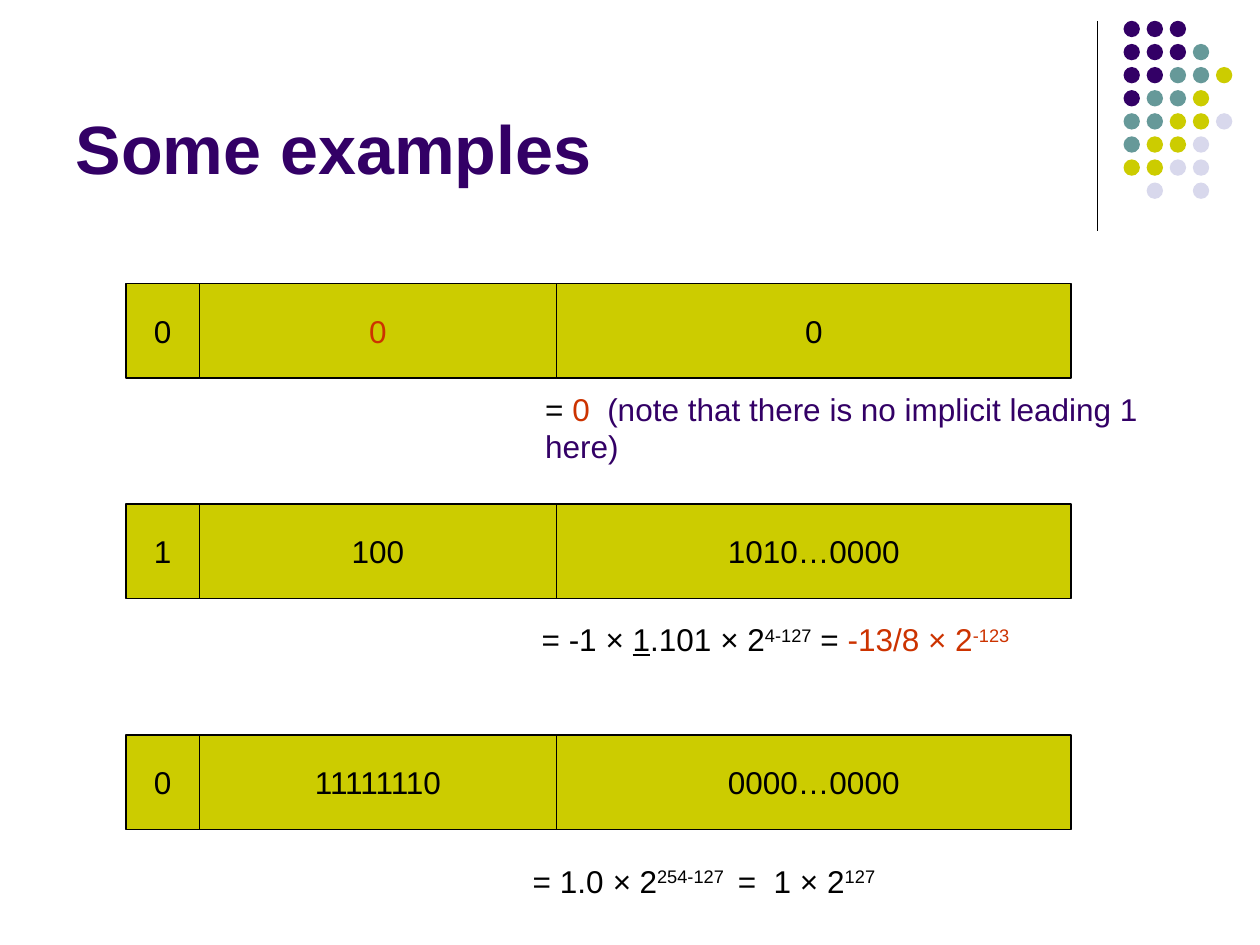
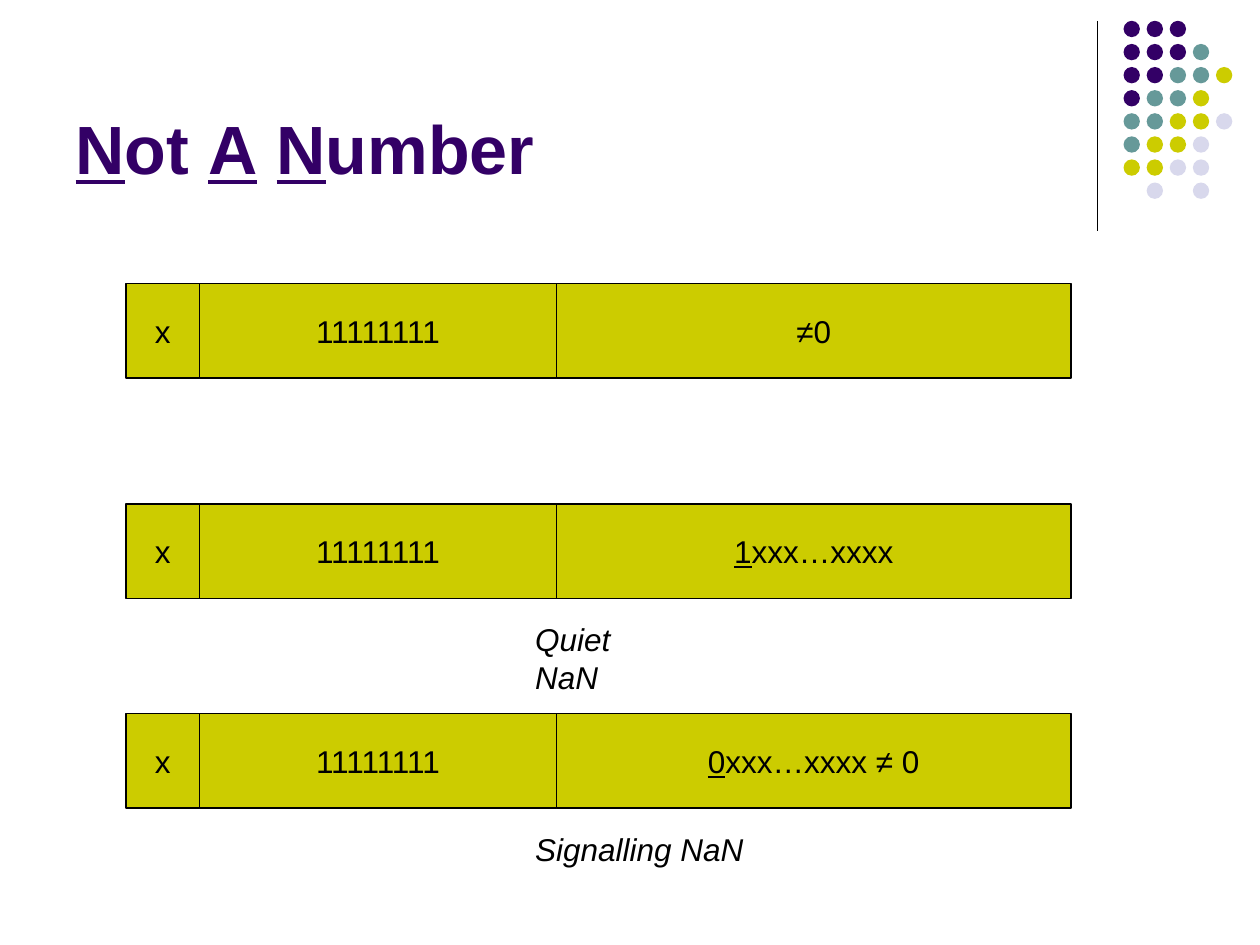
from dataclasses import dataclass

from lxml.etree import SubElement
from pptx import Presentation
from pptx.dml.color import RGBColor
from pptx.enum.shapes import MSO_CONNECTOR, MSO_SHAPE
from pptx.enum.text import MSO_ANCHOR, MSO_AUTO_SIZE, PP_ALIGN
from pptx.oxml.ns import qn
from pptx.presentation import Presentation as PresentationType
from pptx.slide import Slide
from pptx.text.text import TextFrame
from pptx.util import Cm, Pt

FONT = "Arial"
PURPLE = "330066"
TEAL = "669999"
OLIVE = "CCCC00"
LAVENDER = "D8D8EC"
RED = "CC3300"
BLACK = "000000"

DOT_COLORS = {"P": PURPLE, "T": TEAL, "O": OLIVE, "L": LAVENDER}
DOT_ROWS = ("PPP", "PPPT", "PPTTO", "PTTO", "TTOOL", "TOOL", "OOLL", ".L.L")
DOT_LEFT = Cm(22.65)
DOT_TOP = Cm(0.42)
DOT_SIZE = Cm(0.33)
DOT_STEP = Cm(3.26) // 7

FIELDS_LEFT = Cm(2.54)
FIELD_WIDTHS = (Cm(1.48), Cm(7.2), Cm(10.37))
FIELD_HEIGHT = Cm(1.9)
CAPTION_HEIGHT = Cm(1.02)


@dataclass(frozen=True)
class Span:
    text: str
    color: str | None = None
    underline: bool = False
    italic: bool = False
    superscript: bool = False


Spans = tuple[Span, ...]


@dataclass(frozen=True)
class FloatWord:
    top: float
    sign: Spans
    exponent: Spans
    fraction: Spans


@dataclass(frozen=True)
class Caption:
    left: float
    top: float
    width: float
    spans: Spans


@dataclass(frozen=True)
class SlideContent:
    title: Spans
    words: tuple[FloatWord, ...]
    captions: tuple[Caption, ...]


def plain(text: str) -> Spans:
    return (Span(text),)


ONES = plain("11111111")

SLIDES = (
    SlideContent(
        title=plain("Some examples"),
        words=(
            FloatWord(5.72, plain("0"), (Span("0", RED),), plain("0")),
            FloatWord(10.16, plain("1"), plain("100"), plain("1010…0000")),
            FloatWord(14.82, plain("0"), plain("11111110"), plain("0000…0000")),
        ),
        captions=(
            Caption(10.74, 7.73, 14.1, (
                Span("= "),
                Span("0  ", RED),
                Span("(note that there is no implicit leading 1 here)", PURPLE),
            )),
            Caption(10.67, 12.38, 10.1, (
                Span("= -1 × "),
                Span("1", underline=True),
                Span(".101 × 2"),
                Span("4-127", superscript=True),
                Span(" = "),
                Span("-13/8 × 2", RED),
                Span("-123", RED, superscript=True),
            )),
            Caption(10.49, 17.25, 7.42, (
                Span("= 1.0 "),
                Span("× ", italic=True),
                Span("2"),
                Span("254-127 ", superscript=True),
                Span(" =  1 × 2"),
                Span("127", superscript=True),
            )),
        ),
    ),
    SlideContent(
        title=(
            Span("N", underline=True),
            Span("ot "),
            Span("A", underline=True),
            Span(" "),
            Span("N", underline=True),
            Span("umber"),
        ),
        words=(
            FloatWord(5.72, plain("x"), ONES, plain("≠0")),
            FloatWord(10.16, plain("x"), ONES,
                      (Span("1", underline=True), Span("xxx…xxxx"))),
            FloatWord(14.39, plain("x"), ONES,
                      (Span("0", underline=True), Span("xxx…xxxx ≠ 0"))),
        ),
        captions=(
            Caption(10.54, 12.38, 3.45, (Span("Quiet NaN", italic=True),)),
            Caption(10.54, 16.61, 4.7, (Span("Signalling NaN", italic=True),)),
        ),
    ),
)


def rgb(color: str) -> RGBColor:
    return RGBColor.from_string(color)


def write(frame: TextFrame, spans: Spans, size: int = 18, color: str = BLACK,
          align: PP_ALIGN = PP_ALIGN.LEFT, bold: bool = False) -> None:
    paragraph = frame.paragraphs[0]
    paragraph.alignment = align
    paragraph.font.name = FONT
    paragraph.font.size = Pt(size)
    paragraph.font.bold = bold
    paragraph.font.color.rgb = rgb(color)
    for span in spans:
        run = paragraph.add_run()
        run.text = span.text
        if span.color:
            run.font.color.rgb = rgb(span.color)
        if span.underline:
            run.font.underline = True
        if span.italic:
            run.font.italic = True
        if span.superscript:
            run._r.get_or_add_rPr().set("baseline", "30000")


def add_corner_decoration(slide: Slide) -> None:
    rule = slide.shapes.add_connector(
        MSO_CONNECTOR.STRAIGHT, Cm(22.12), Cm(0.42), Cm(22.12), Cm(4.66))
    rule.line.color.rgb = rgb(BLACK)
    rule.line.width = Pt(0.75)
    SubElement(rule._element.spPr, qn("a:effectLst"))
    for row, codes in enumerate(DOT_ROWS):
        for column, code in enumerate(codes):
            if code not in DOT_COLORS:
                continue
            dot = slide.shapes.add_shape(
                MSO_SHAPE.OVAL, DOT_LEFT + column * DOT_STEP,
                DOT_TOP + row * DOT_STEP, DOT_SIZE, DOT_SIZE)
            dot.shadow.inherit = False
            dot.fill.solid()
            dot.fill.fore_color.rgb = rgb(DOT_COLORS[code])
            dot.line.fill.background()


def add_title(slide: Slide, spans: Spans) -> None:
    title = slide.shapes.title
    title.left, title.top = Cm(1.27), Cm(0.33)
    title.width, title.height = Cm(20.96), Cm(3.6)
    frame = title.text_frame
    frame.auto_size = MSO_AUTO_SIZE.NONE
    frame.vertical_anchor = MSO_ANCHOR.BOTTOM
    write(frame, spans, size=39, color=PURPLE, bold=True)


def add_float_word(slide: Slide, word: FloatWord) -> None:
    left = FIELDS_LEFT
    for width, spans in zip(FIELD_WIDTHS, (word.sign, word.exponent, word.fraction)):
        field = slide.shapes.add_shape(
            MSO_SHAPE.RECTANGLE, left, Cm(word.top), width, FIELD_HEIGHT)
        field.shadow.inherit = False
        field.fill.solid()
        field.fill.fore_color.rgb = rgb(OLIVE)
        field.line.color.rgb = rgb(BLACK)
        field.line.width = Pt(0.75)
        field.text_frame.word_wrap = False
        field.text_frame.vertical_anchor = MSO_ANCHOR.MIDDLE
        write(field.text_frame, spans, align=PP_ALIGN.CENTER)
        left += width


def add_caption(slide: Slide, caption: Caption) -> None:
    box = slide.shapes.add_textbox(
        Cm(caption.left), Cm(caption.top), Cm(caption.width), CAPTION_HEIGHT)
    box.text_frame.word_wrap = False
    box.text_frame.auto_size = MSO_AUTO_SIZE.SHAPE_TO_FIT_TEXT
    write(box.text_frame, caption.spans)


def add_slide(presentation: PresentationType, content: SlideContent) -> None:
    slide = presentation.slides.add_slide(presentation.slide_layouts[5])
    add_corner_decoration(slide)
    add_title(slide, content.title)
    for word in content.words:
        add_float_word(slide, word)
    for caption in content.captions:
        add_caption(slide, caption)


def main() -> None:
    presentation = Presentation()
    presentation.slide_width = Cm(25.4)
    presentation.slide_height = Cm(19.05)
    for content in SLIDES:
        add_slide(presentation, content)
    presentation.save("out.pptx")


if __name__ == "__main__":
    main()
